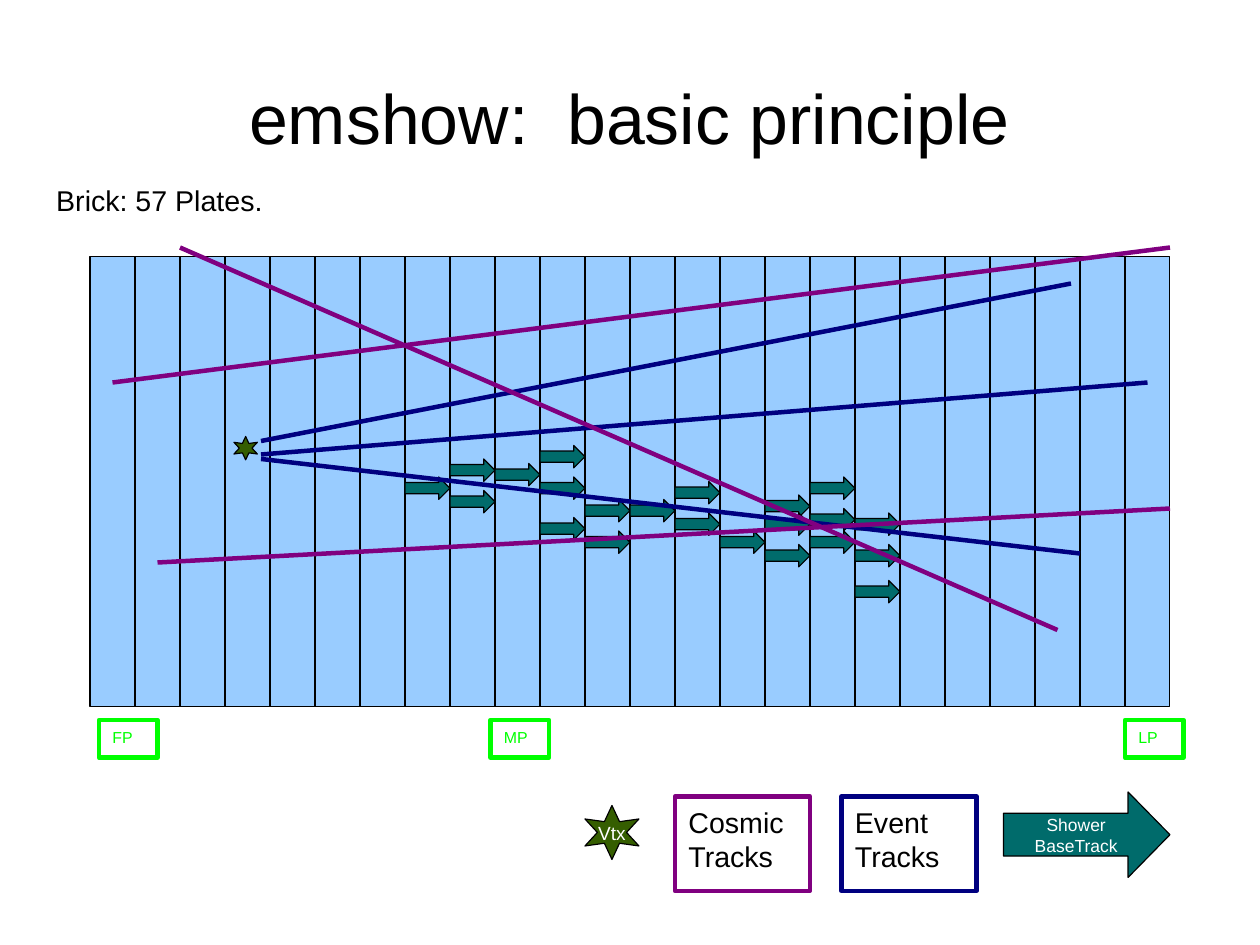
from dataclasses import dataclass

from lxml.etree import SubElement
from pptx import Presentation
from pptx.dml.color import RGBColor
from pptx.enum.shapes import MSO_CONNECTOR, MSO_SHAPE
from pptx.enum.text import MSO_ANCHOR, MSO_AUTO_SIZE, PP_ALIGN
from pptx.oxml.ns import qn
from pptx.util import Cm, Pt


@dataclass(frozen=True)
class Theme:
    font: str = "Arial"
    ink: str = "000000"
    paper: str = "FFFFFF"
    plate: str = "99CCFF"
    shower: str = "006B6B"
    vertex: str = "355E00"
    event: str = "000080"
    cosmic: str = "800080"
    marker: str = "00FF00"
    hairline: float = 0
    stroke: float = 2.83
    title: int = 44
    body: int = 18
    vertex_text: int = 12
    shower_text: int = 11
    marker_text: int = 10


theme = Theme()


def paint(shape, fill, line, width):
    shape.shadow.inherit = False
    if fill:
        shape.fill.solid()
        shape.fill.fore_color.rgb = RGBColor.from_string(fill)
    else:
        shape.fill.background()
    shape.line.color.rgb = RGBColor.from_string(line)
    shape.line.width = Pt(width)
    return shape


def write(shape, text, size, color, align, anchor, inset=(0.25, 0.13), wrap=True):
    frame = shape.text_frame
    frame.text = text
    frame.word_wrap = wrap
    frame.auto_size = MSO_AUTO_SIZE.NONE
    frame.vertical_anchor = anchor
    frame.margin_left = frame.margin_right = Cm(inset[0])
    frame.margin_top = frame.margin_bottom = Cm(inset[1])
    for paragraph in frame.paragraphs:
        paragraph.alignment = align
        for run in paragraph.runs:
            run.font.name = theme.font
            run.font.size = Pt(size)
            run.font.color.rgb = RGBColor.from_string(color)


presentation = Presentation()
presentation.slide_width, presentation.slide_height = Cm(28), Cm(21)
slide = presentation.slides.add_slide(presentation.slide_layouts[5])

brick_left, brick_top, brick_height, pitch = 2, 5.7, 10, 1
brick = slide.shapes.add_group_shape().shapes
for column in range(24):
    plate = brick.add_shape(MSO_SHAPE.RECTANGLE, Cm(brick_left + column * pitch),
                            Cm(brick_top), Cm(pitch), Cm(brick_height))
    paint(plate, theme.plate, theme.ink, theme.hairline)

heading = slide.shapes.title
heading.left, heading.top, heading.width, heading.height = Cm(1.4), Cm(0.97), Cm(25.2), Cm(3.25)
write(heading, "emshow:  basic principle", theme.title, theme.ink,
      PP_ALIGN.CENTER, MSO_ANCHOR.MIDDLE, (0, 0))

brick_note = slide.shapes.add_textbox(Cm(1), Cm(3.94), Cm(5.28), Cm(1.12))
write(brick_note, "Brick: 57 Plates.", theme.body, theme.ink,
      PP_ALIGN.LEFT, MSO_ANCHOR.TOP, wrap=False)

base_track_tops = {
    7: [10.6], 8: [10.2, 10.9], 9: [10.3], 10: [9.9, 10.6, 11.5], 11: [11.1, 11.8],
    12: [11.1], 13: [10.7, 11.4], 14: [11.8], 15: [11, 11.4, 12.1],
    16: [10.6, 11.3, 11.8], 17: [11.4, 12.1, 12.9],
}
shower = slide.shapes.add_group_shape().shapes
for column, tops in base_track_tops.items():
    for top in tops:
        base_track = shower.add_shape(MSO_SHAPE.RIGHT_ARROW, Cm(brick_left + column * pitch),
                                      Cm(top), Cm(pitch), Cm(0.5))
        paint(base_track, theme.shower, theme.ink, theme.hairline)

star_outline = [(50, 0), (64, 30), (100, 25), (77, 50), (100, 75), (64, 70),
                (50, 100), (36, 70), (0, 75), (23, 50), (0, 25), (36, 30)]
vertices = []
for left, top, size in [(5.2, 9.7, 0.52), (13, 17.9, 1.2)]:
    star = slide.shapes.build_freeform(*star_outline[0], scale=Cm(size) / 100)
    star.add_line_segments(star_outline[1:], close=True)
    vertex = star.convert_to_shape(Cm(left), Cm(top))
    vertices.append(paint(vertex, theme.vertex, theme.ink, theme.hairline))
write(vertices[-1], "Vtx", theme.vertex_text, theme.paper,
      PP_ALIGN.CENTER, MSO_ANCHOR.MIDDLE, wrap=False)

tracks = [
    (theme.event, 5.8, 9.8, 23.8, 6.3),
    (theme.event, 5.8, 10.1, 25.5, 8.5),
    (theme.event, 5.8, 10.2, 24, 12.3),
    (theme.cosmic, 2.5, 8.5, 26, 5.5),
    (theme.cosmic, 3.5, 12.5, 26, 11.3),
    (theme.cosmic, 4, 5.5, 23.5, 14),
]
for color, *ends in tracks:
    track = slide.shapes.add_connector(MSO_CONNECTOR.STRAIGHT, *map(Cm, ends))
    track.line.color.rgb = RGBColor.from_string(color)
    track.line.width = Pt(theme.stroke)
    SubElement(track._element.spPr, qn("a:effectLst"))

framed_labels = [
    ("Cosmic Tracks", 15, 17.7, 3, 2.1, theme.cosmic, theme.ink, theme.body),
    ("Event Tracks", 18.7, 17.7, 3, 2.1, theme.event, theme.ink, theme.body),
    ("FP", 2.2, 16, 1.3, 0.84, theme.marker, theme.marker, theme.marker_text),
    ("MP", 10.9, 16, 1.3, 0.84, theme.marker, theme.marker, theme.marker_text),
    ("LP", 25, 16, 1.3, 0.84, theme.marker, theme.marker, theme.marker_text),
]
for text, left, top, width, height, border, color, size in framed_labels:
    label = slide.shapes.add_shape(MSO_SHAPE.RECTANGLE, Cm(left), Cm(top), Cm(width), Cm(height))
    paint(label, None, border, theme.stroke)
    write(label, text, size, color, PP_ALIGN.LEFT, MSO_ANCHOR.TOP, (0.3, 0.18))

shower_key = slide.shapes.add_shape(MSO_SHAPE.RIGHT_ARROW, Cm(22.3), Cm(17.6), Cm(3.7), Cm(1.9))
shower_key.adjustments[1] = 0.49
paint(shower_key, theme.shower, theme.ink, theme.hairline)
write(shower_key, "Shower\nBaseTrack", theme.shower_text, theme.paper,
      PP_ALIGN.CENTER, MSO_ANCHOR.MIDDLE)

presentation.save("out.pptx")
